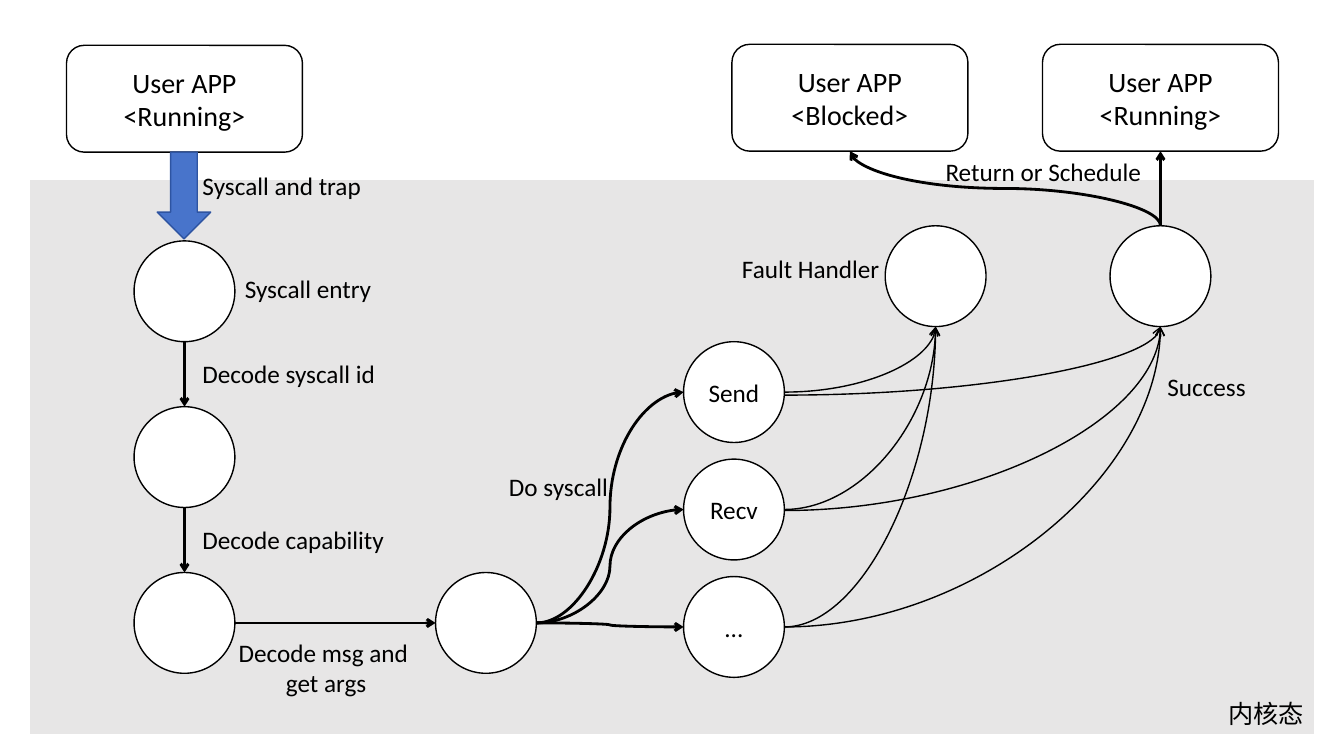
from lxml import etree
from pptx import Presentation
from pptx.dml.color import RGBColor
from pptx.enum.shapes import MSO_CONNECTOR, MSO_SHAPE
from pptx.enum.text import MSO_ANCHOR, MSO_AUTO_SIZE, PP_ALIGN
from pptx.oxml.ns import qn
from pptx.util import Inches, Pt

BLACK = RGBColor(0x00, 0x00, 0x00)
WHITE = RGBColor(0xFF, 0xFF, 0xFF)
GRAY = RGBColor(0xE7, 0xE6, 0xE6)
BLUE = RGBColor(0x48, 0x74, 0xCB)
DARK_BLUE = RGBColor(0x2E, 0x54, 0xA1)
FONT = "Calibri"

ELLIPSE = MSO_SHAPE.OVAL
APP_BOX = MSO_SHAPE.FLOWCHART_ALTERNATE_PROCESS
PANEL = MSO_SHAPE.FLOWCHART_PROCESS
DOWN_ARROW = MSO_SHAPE.DOWN_ARROW
STRAIGHT, CURVE = MSO_CONNECTOR.STRAIGHT, MSO_CONNECTOR.CURVE
LEFT, CENTER, RIGHT = PP_ALIGN.LEFT, PP_ALIGN.CENTER, PP_ALIGN.RIGHT

# Content: user applications (left, top, lines)
BOX_WIDTH, BOX_HEIGHT = 2.34, 1.06
APPS = {
    "caller": (0.66, 0.45, ["User APP", "<Running>"]),
    "blocked": (7.26, 0.44, ["User APP", "<Blocked>"]),
    "running": (10.34, 0.44, ["User APP", "<Running>"]),
}

# Content: kernel states in columns (left, first top, row step, names and captions)
DIAMETER = 1
COLUMNS = [
    (1.33, 2.39, 1.645, {"entry": "", "syscall id": "", "capability": ""}),
    (4.32, 5.68, 0, {"arguments": ""}),
    (6.78, 3.39, 1.165, {"send": "Send", "recv": "Recv", "other": "..."}),
    (8.78, 2.24, 0, {"fault": ""}),
    (11.01, 2.24, 0, {"success": ""}),
]

# Content: labels (left, top, width, height, alignment, lines)
LABELS = [
    (1.91, 1.64, 1.79, 0.4, LEFT, ["Syscall and trap"]),
    (2.33, 2.66, 1.46, 0.4, LEFT, ["Syscall entry"]),
    (1.91, 3.51, 1.96, 0.4, LEFT, ["Decode syscall id"]),
    (1.91, 5.15, 4.44, 0.4, LEFT, ["Decode capability"]),
    (2.25, 6.27, 1.97, 0.71, CENTER, ["Decode msg and ", "get args"]),
    (4.95, 4.63, 1.2, 0.4, LEFT, ["Do syscall"]),
    (7.26, 2.46, 1.62, 0.4, LEFT, ["Fault Handler"]),
    (11.48, 3.63, 1.13, 0.4, LEFT, ["Success"]),
    (9.28, 1.5, 2.16, 0.4, LEFT, ["Return or Schedule"]),
    (11.94, 6.88, 1.09, 0.4, RIGHT, ["内核态"]),
]

# Content: transitions between states
STEPS = [
    ("entry", "bottom", "syscall id", "top"),
    ("syscall id", "bottom", "capability", "top"),
    ("capability", "right", "arguments", "left"),
]
OPERATIONS = ["send", "recv", "other"]
OUTCOMES = ["fault", "success"]
START_DROP = {("send", "success"): 0.03, ("recv", "success"): 0.01}

SIDES = {"top": (0.5, 0), "left": (0, 0.5), "bottom": (0.5, 1), "right": (1, 0.5)}

presentation = Presentation()
presentation.slide_width, presentation.slide_height = Inches(13.33), Inches(7.5)
slide = presentation.slides.add_slide(presentation.slide_layouts[6])


def write(text_frame, lines, size, alignment):
    text_frame.word_wrap = True
    for index, line in enumerate(lines):
        paragraph = text_frame.paragraphs[0] if index == 0 else text_frame.add_paragraph()
        paragraph.alignment = alignment
        run = paragraph.add_run()
        run.text = line
        for name, value in {"name": FONT, "size": Pt(size)}.items():
            setattr(run.font, name, value)
        run.font.color.rgb = BLACK


def add_shape(kind, left, top, width, height, fill, line, lines=(), size=18):
    shape = slide.shapes.add_shape(kind, *map(Inches, (left, top, width, height)))
    shape.shadow.inherit = False
    if fill is None:
        shape.fill.background()
    else:
        shape.fill.solid()
        shape.fill.fore_color.rgb = fill
    if line is None:
        shape.line.fill.background()
    else:
        shape.line.color.rgb = line
        shape.line.width = Pt(1)
    if lines:
        frame = shape.text_frame
        for side in ("left", "top", "right", "bottom"):
            setattr(frame, "margin_" + side, 0)
        frame.vertical_anchor = MSO_ANCHOR.MIDDLE
        write(frame, lines, size, CENTER)
    return shape


def add_arrow(kind, start, end, width):
    connector = slide.shapes.add_connector(kind, *map(Inches, (*start, *end)))
    connector.line.color.rgb = BLACK
    connector.line.width = Pt(width)
    etree.SubElement(connector.line._get_or_add_ln(), qn("a:tailEnd"), type="arrow")
    etree.SubElement(connector._element.spPr, qn("a:effectLst"))
    return connector


def side_of(place, side, width=DIAMETER, height=DIAMETER):
    across, down = SIDES[side]
    return place[0] + across * width, place[1] + down * height


# Kernel panel
add_shape(PANEL, 0.3, 1.79, 12.73, 5.49, GRAY, None)

# User applications and the trap into the kernel
boxes = {
    name: add_shape(APP_BOX, left, top, BOX_WIDTH, BOX_HEIGHT, None, BLACK, lines, 20)
    for name, (left, top, lines) in APPS.items()
}
add_shape(DOWN_ARROW, 1.56, 1.51, 0.53, 0.86, BLUE, DARK_BLUE)

# Kernel states
states = {}
for left, first_top, step, captions in COLUMNS:
    for row, (name, caption) in enumerate(captions.items()):
        states[name] = (left, first_top + row * step)
        add_shape(ELLIPSE, *states[name], DIAMETER, DIAMETER, WHITE, BLACK,
                  [caption] if caption else ())

# Decoding steps
for source, source_side, target, target_side in STEPS:
    add_arrow(STRAIGHT, side_of(states[source], source_side),
              side_of(states[target], target_side), 2)

# Dispatch to each operation
for operation in OPERATIONS:
    add_arrow(CURVE, side_of(states["arguments"], "right"),
              side_of(states[operation], "left"), 2)

# Outcome of each operation: quarter curves
for operation in OPERATIONS:
    for outcome in OUTCOMES:
        x, y = side_of(states[operation], "right")
        drop = START_DROP.get((operation, outcome), 0)
        curve = add_arrow(CURVE, (x, y + drop), side_of(states[outcome], "bottom"), 1)
        curve._element.spPr.find(qn("a:prstGeom")).set("prst", "curvedConnector2")

# Return to the running application
exit_point = side_of(states["success"], "top")
running_point = side_of(APPS["running"], "bottom", BOX_WIDTH, BOX_HEIGHT)
add_arrow(STRAIGHT, exit_point, running_point, 2).end_connect(boxes["running"], 2)

# Schedule the blocked application: an S curve turned to leave upwards
blocked_point = side_of(APPS["blocked"], "bottom", BOX_WIDTH, BOX_HEIGHT)
middle_x, middle_y = ((a + b) / 2 for a, b in zip(exit_point, blocked_point))
half_run = (exit_point[1] - blocked_point[1]) / 2
half_rise = (exit_point[0] - blocked_point[0]) / 2
schedule = add_arrow(CURVE, (middle_x - half_run, middle_y + half_rise),
                     (middle_x + half_run, middle_y - half_rise), 2)
schedule._element.spPr.find(qn("a:xfrm")).set("rot", str(270 * 60000))

# Labels
for left, top, width, height, alignment, lines in LABELS:
    label = slide.shapes.add_textbox(*map(Inches, (left, top, width, height)))
    write(label.text_frame, lines, 18, alignment)
    label.text_frame.auto_size = MSO_AUTO_SIZE.SHAPE_TO_FIT_TEXT

presentation.save("out.pptx")
